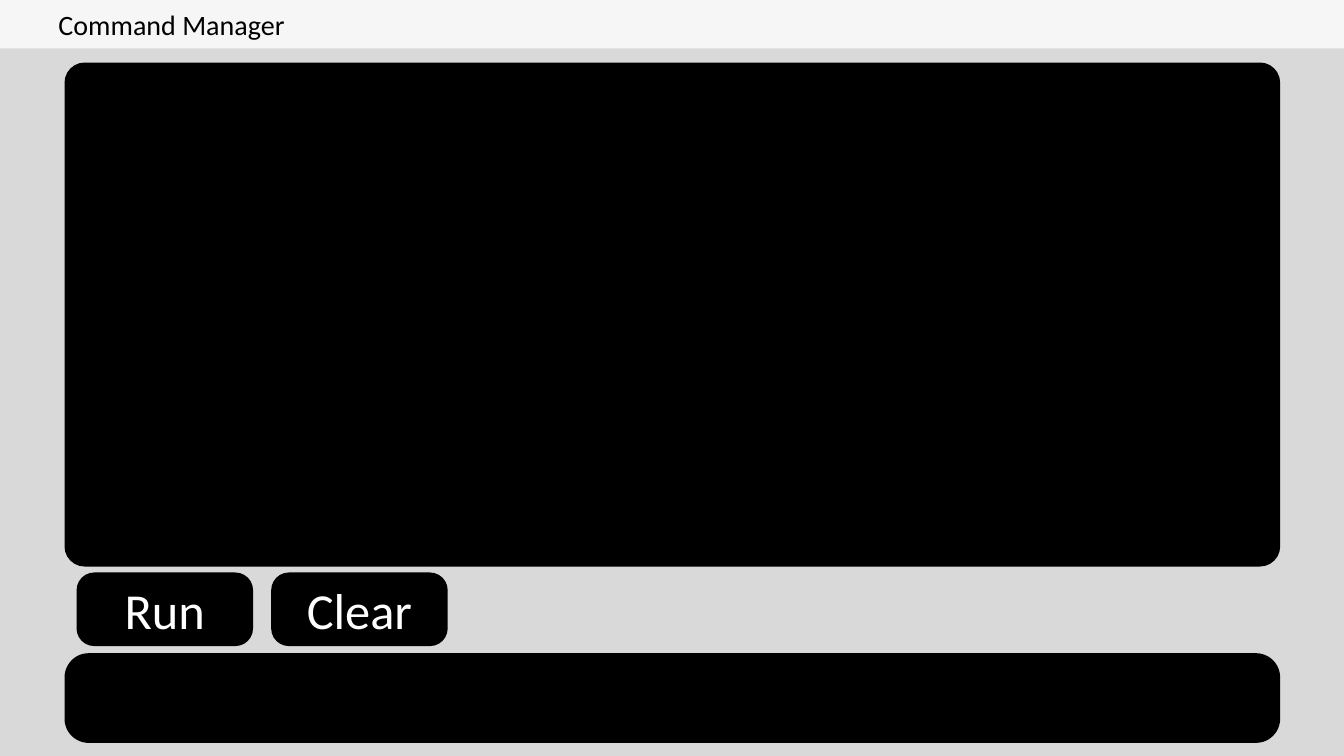
from lxml.etree import SubElement
from pptx import Presentation
from pptx.dml.color import RGBColor
from pptx.enum.shapes import MSO_SHAPE
from pptx.enum.text import MSO_ANCHOR, MSO_AUTO_SIZE, PP_ALIGN
from pptx.oxml.ns import qn
from pptx.util import Inches, Pt

COLORS = {"page": "D9D9D9", "bar": "FFFFFF", "panel": "000000",
          "title": "000000", "button": "FFFFFF"}
GRID = 100
MARGIN, PANEL_WIDTH = 4.8, 90.45
BUTTON_LEFT, BUTTON_PITCH = 5.7, 14.48
TITLE_FRAME = {"word_wrap": True, "auto_size": MSO_AUTO_SIZE.SHAPE_TO_FIT_TEXT,
               "vertical_anchor": MSO_ANCHOR.TOP}
BUTTON_FRAME = {"word_wrap": True, "vertical_anchor": MSO_ANCHOR.MIDDLE}
TITLE_FONT = {"name": "Calibri", "size": Pt(20)}
BUTTON_FONT = {"name": "Calibri", "size": Pt(36)}


def set_values(target, values):
    for name, value in values.items():
        setattr(target, name, value)


class SlidePainter:
    def __init__(self, deck, page):
        self.column = deck.slide_width / GRID
        self.row = deck.slide_height / GRID
        self.page = page

    def color(self, name):
        return RGBColor.from_string(COLORS[name])

    def area(self, left, top, width, height):
        return (round(left * self.column), round(top * self.row),
                round(width * self.column), round(height * self.row))

    def background(self, color):
        fill = self.page.background.fill
        fill.solid()
        fill.fore_color.rgb = self.color(color)

    def label(self, box, text, color, frame_format, font_format, align):
        frame = box.text_frame
        set_values(frame, frame_format)
        para = frame.paragraphs[0]
        para.alignment = align
        span = para.add_run()
        span.text = text
        set_values(span.font, font_format)
        span.font.color.rgb = self.color(color)

    def panel(self, area, rounding, color="panel", opacity=100):
        box = self.page.shapes.add_shape(MSO_SHAPE.ROUNDED_RECTANGLE, *self.area(*area))
        box.adjustments[0] = rounding
        box.shadow.inherit = False
        box.fill.solid()
        box.fill.fore_color.rgb = self.color(color)
        box.line.fill.background()
        if opacity < 100:
            tint = box.element.spPr.find(qn("a:solidFill"))[0]
            SubElement(tint, qn("a:alpha")).set("val", str(opacity * 1000))
        return box

    def title(self, text, area, bar):
        box = self.page.shapes.title
        set_values(box, dict(zip(("left", "top", "width", "height"), self.area(*area))))
        self.label(box, text, "title", TITLE_FRAME, TITLE_FONT, PP_ALIGN.LEFT)
        bar.element.addnext(box.element)

    def button(self, text, area):
        box = self.panel(area, 0.24)
        self.label(box, text, "button", BUTTON_FRAME, BUTTON_FONT, PP_ALIGN.CENTER)


def main():
    deck = Presentation()
    deck.slide_width, deck.slide_height = Inches(13.33), Inches(7.5)
    page = deck.slides.add_slide(deck.slide_layouts.get_by_name("Title Only"))
    painter = SlidePainter(deck, page)

    painter.background("page")
    bar = painter.panel((0, 0, GRID, 6.4), 0, "bar", 79)
    painter.title("Command Manager", (3.6, 0.27, 24.68, 5.87), bar)
    painter.panel((MARGIN, 8.27, PANEL_WIDTH, 66.67), 0.04)
    painter.panel((MARGIN, 86.4, PANEL_WIDTH, 11.87), 0.27)
    for index, caption in enumerate(("Run", "Clear")):
        painter.button(caption, (BUTTON_LEFT + index * BUTTON_PITCH, 75.73, 13.13, 9.73))

    deck.save("out.pptx")


if __name__ == "__main__":
    main()
